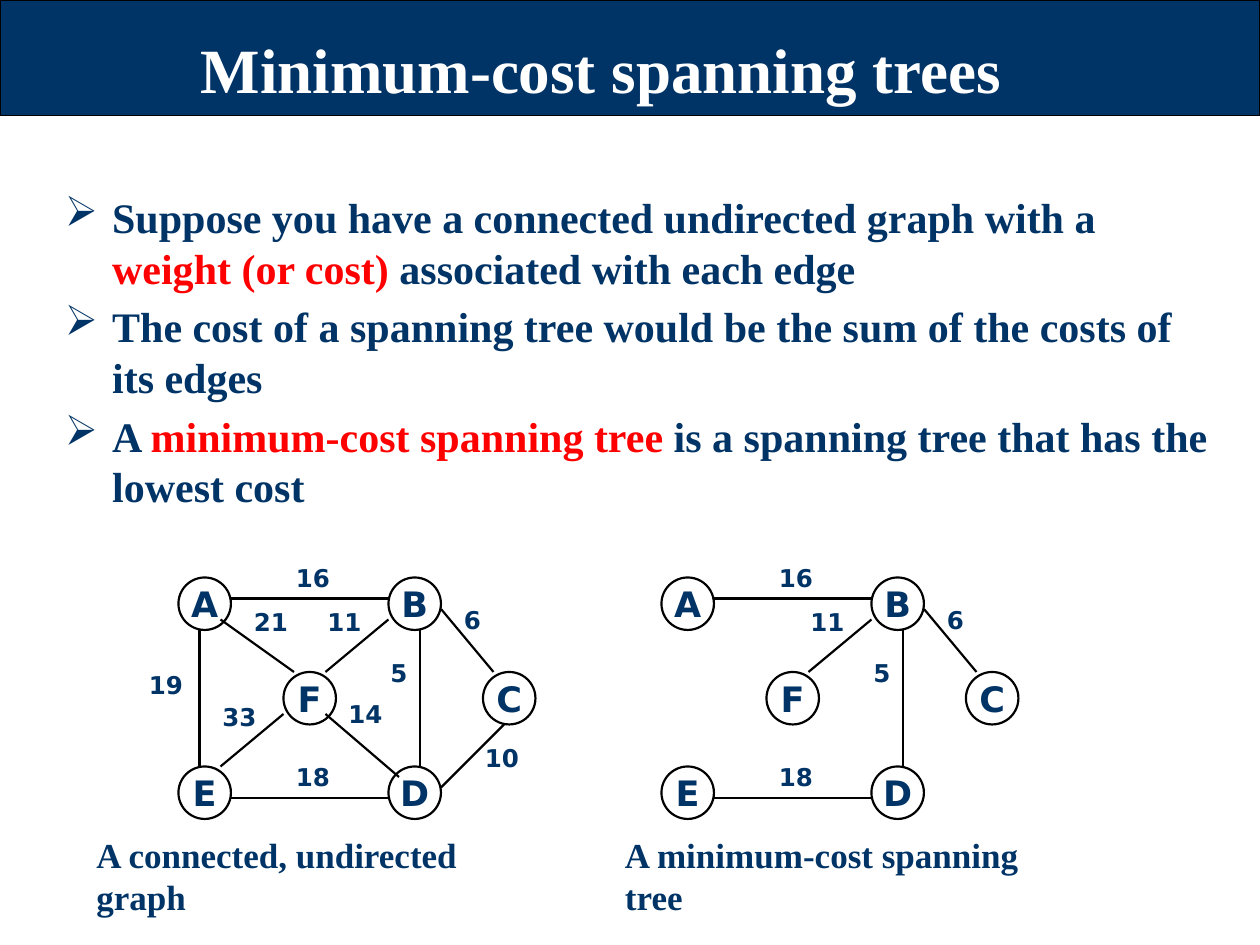
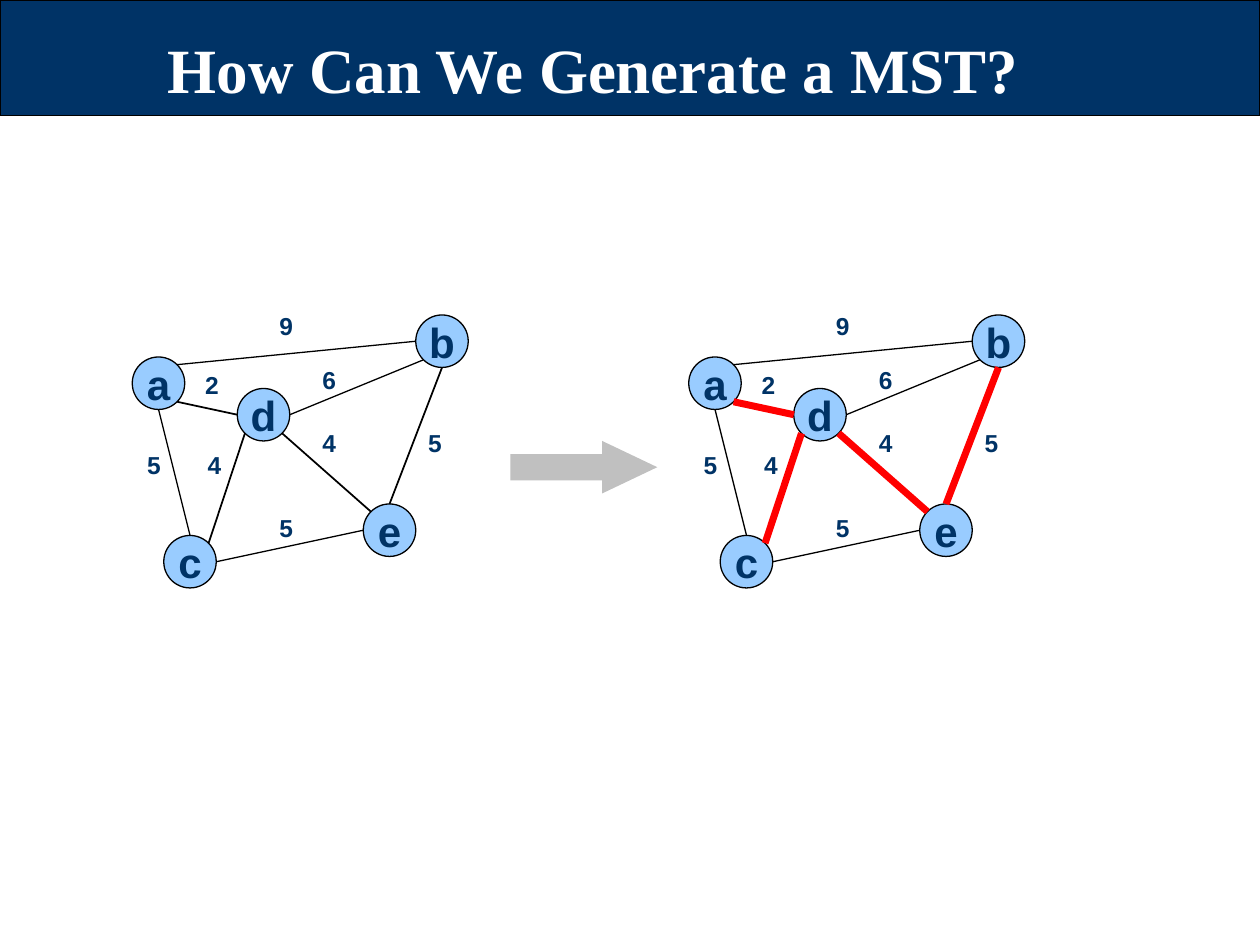
from dataclasses import dataclass
from lxml import etree
from pptx import Presentation
from pptx.dml.color import RGBColor
from pptx.enum.shapes import MSO_CONNECTOR, MSO_SHAPE
from pptx.enum.text import MSO_ANCHOR, MSO_AUTO_SIZE, PP_ALIGN
from pptx.oxml.ns import qn
from pptx.util import Pt

RECT, OVAL, ARROW = MSO_SHAPE.RECTANGLE, MSO_SHAPE.OVAL, MSO_SHAPE.RIGHT_ARROW
STRAIGHT = MSO_CONNECTOR.STRAIGHT
MIDDLE, BOTTOM = MSO_ANCHOR.MIDDLE, MSO_ANCHOR.BOTTOM
CENTER, LEFT = PP_ALIGN.CENTER, PP_ALIGN.LEFT
FIXED = MSO_AUTO_SIZE.NONE


@dataclass(frozen=True)
class Theme:
    navy: str = "003366"
    white: str = "FFFFFF"
    black: str = "000000"
    red: str = "FF0000"
    sky: str = "99CCFF"
    gray: str = "C0C0C0"
    serif: str = "Times New Roman"
    sans: str = "DejaVu Sans"
    plain: str = "Arial"
    head: int = 36
    body: int = 24
    note: int = 20
    cost: int = 14


T = Theme()
WIDE, HIGH, BAND = 720, 540, 66
DISC = 30

COST_TITLE = "Minimum-cost spanning trees"
MST_TITLE = "How Can We Generate a MST? "

POINTS = [
    [("Suppose you have a connected undirected graph with a ", T.navy),
     ("weight (or cost)", T.red),
     (" associated with each edge", T.navy)],
    [("The cost of a spanning tree would be the sum of the costs of its edges", T.navy)],
    [("A ", T.navy),
     ("minimum-cost spanning tree", T.red),
     (" is a spanning tree that has the lowest cost", T.navy)],
]

NOTES = [
    ("A connected, undirected graph", (48, 473, 270, 31)),
    ("A minimum-cost spanning tree", (350, 473, 262, 31)),
]

# fmt: off
COST_NODES = {"A": (0, 0), "B": (120, 0), "E": (0, 108),
              "D": (120, 108), "F": (60, 54), "C": (174, 54)}
COST_EDGES = [
    ("A", (12, 30), "E", (12, 0), "19", (-24, 49.4)),
    ("A", (30, 12), "B", (0, 12), "16", (60, -11.8)),
    ("B", (18, 30), "D", (18, 0), "5", (114, 42.6)),
    ("E", (30, 18), "D", (0, 18), "18", (60, 102)),
    ("E", (24, 0), "F", (0, 24), "33", (18, 67.4)),
    ("D", (6, 6), "F", (24, 24), "14", (90, 66)),
    ("A", (24, 24), "F", (6, 0), "21", (36, 13.4)),
    ("B", (0, 24), "F", (24, 0), "11", (78, 13.4)),
    ("D", (30, 12), "C", (12, 30), "10", (168, 91.2)),
    ("B", (30, 18), "C", (6, 0), "6", (156, 12)),
]
COST_TREE = {"AB", "BD", "ED", "BF", "BC"}

N, S, W, E = (15, 0), (15, 30), (0, 15), (30, 15)
NE, SE, SW, NW = (25.6, 4.4), (25.6, 25.6), (4.4, 25.6), (4.4, 4.4)
MST_NODES = {"a": (0, 24), "c": (18, 126), "e": (132, 108),
             "d": (60, 42), "b": (162, 0)}
MST_EDGES = [
    ("a", NE, "b", W, "9", (77, -5.8)),
    ("d", E, "b", SW, "6", (101.5, 25.2)),
    ("a", S, "c", N, "5", (1.4, 73.4)),
    ("a", SE, "d", W, "2", (34.6, 28)),
    ("c", NE, "d", SW, "4", (36, 73.4)),
    ("d", SE, "e", NW, "4", (101.5, 61.2)),
    ("b", S, "e", N, "5", (162, 61.2)),
    ("e", W, "c", E, "5", (77, 109.4)),
]
MST_TREE = {"ad", "cd", "de", "be"}
# fmt: on


def color(code):
    return RGBColor.from_string(code)


def pts(*nums):
    return [Pt(n) for n in nums]


def add_run(para, text, font, size, tint=T.navy):
    run = para.add_run()
    run.text = text
    run.font.name, run.font.size, run.font.bold = font, Pt(size), True
    run.font.color.rgb = color(tint)


def add_text(shapes, text, box, font, size):
    frame = shapes.add_textbox(*pts(*box)).text_frame
    frame.word_wrap = True
    add_run(frame.paragraphs[0], text, font, size)


def add_form(shapes, kind, box, fill=None, width=None):
    form = shapes.add_shape(kind, *pts(*box))
    form.shadow.inherit = False
    if fill:
        form.fill.solid()
        form.fill.fore_color.rgb = color(fill)
    else:
        form.fill.background()
    if width:
        form.line.color.rgb = color(T.black)
        form.line.width = Pt(width)
    else:
        form.line.fill.background()
    return form


def add_line(shapes, start, end, tint, width):
    line = shapes.add_connector(STRAIGHT, *pts(*start, *end))
    line.line.color.rgb = color(tint)
    line.line.width = Pt(width)
    etree.SubElement(line.element.spPr, qn("a:effectLst"))


def add_graph(slide, left, top, nodes, edges, look, pen):
    shapes = slide.shapes.add_group_shape().shapes

    def place(spot, shift=(0, 0)):
        return left + spot[0] + shift[0], top + spot[1] + shift[1]

    for name, spot in nodes.items():
        disc = add_form(shapes, OVAL, (*place(spot), DISC, DISC), look["fill"], look["line"])
        frame = disc.text_frame
        frame.word_wrap = False
        frame.vertical_anchor = MIDDLE
        para = frame.paragraphs[0]
        para.alignment = CENTER
        add_run(para, name, look["font"], look["size"])
    for tail, out, head, into, cost, spot in edges:
        add_line(shapes, place(nodes[tail], out), place(nodes[head], into), *pen(tail + head))
        add_text(shapes, cost, (*place(spot), look["wide"], 28.8), look["font"], T.cost)
    return shapes


def add_band(slide, layout):
    band = add_form(slide.shapes, RECT, (0, 0, WIDE, BAND), T.navy, 0.75)
    band.element.nvSpPr.cNvPr.set("id", "99")
    layout.shapes.element.insert(2, band.element)


def add_slide(deck, layout, text):
    slide = deck.slides.add_slide(layout)
    title = slide.shapes.title
    title.left, title.top, title.width, title.height = pts(36.7, -2, 613.4, BAND)
    frame = title.text_frame
    frame.auto_size = FIXED
    frame.word_wrap = True
    frame.vertical_anchor = BOTTOM
    para = frame.paragraphs[0]
    para.alignment = CENTER
    add_run(para, text, T.serif, T.head, T.white)
    return slide


def add_points(slide):
    frame = slide.shapes.add_textbox(*pts(30, 106, 675.4, 196.6)).text_frame
    frame.word_wrap = True
    for rank, runs in enumerate(POINTS):
        para = frame.add_paragraph() if rank else frame.paragraphs[0]
        para.alignment = LEFT
        props = para._p.get_or_add_pPr()
        props.set("marL", str(Pt(27)))
        props.set("indent", str(Pt(-27)))
        etree.SubElement(props, qn("a:buChar"), char="➢")
        if rank:
            para.space_before = Pt(0.2 * T.body)
        for text, tint in runs:
            add_run(para, text, T.serif, T.body, tint)


def build_cost(deck, layout):
    slide = add_slide(deck, layout, COST_TITLE)
    add_band(slide, layout)
    add_points(slide)
    look = dict(fill=None, line=1.25, font=T.sans, size=20, wide=42)
    tree = [edge for edge in COST_EDGES if edge[0] + edge[2] in COST_TREE]
    for left, edges, note in zip((102, 378), (COST_EDGES, tree), NOTES):
        shapes = add_graph(slide, left, 330, COST_NODES, edges, look,
                           lambda pair: (T.black, 1.25))
        add_text(shapes, *note, T.serif, T.note)


def build_mst(deck, layout):
    slide = add_slide(deck, layout, MST_TITLE)
    look = dict(fill=T.sky, line=0.75, font=T.plain, size=24, wide=24.5)
    for left, bold in ((75.6, (T.black, 1)), (393.6, (T.red, 4))):
        add_graph(slide, left, 180, MST_NODES, MST_EDGES, look,
                  lambda pair: bold if pair in MST_TREE else (T.black, 0.75))
    arrow = add_form(slide.shapes, ARROW, (291.6, 252, 84, DISC), T.gray)
    arrow.adjustments[0], arrow.adjustments[1] = 0.5, 1.05


def main():
    deck = Presentation()
    deck.slide_width, deck.slide_height = pts(WIDE, HIGH)
    layout = deck.slide_layouts.get_by_name("Title Only")
    build_cost(deck, layout)
    build_mst(deck, layout)
    deck.save("out.pptx")


if __name__ == "__main__":
    main()
